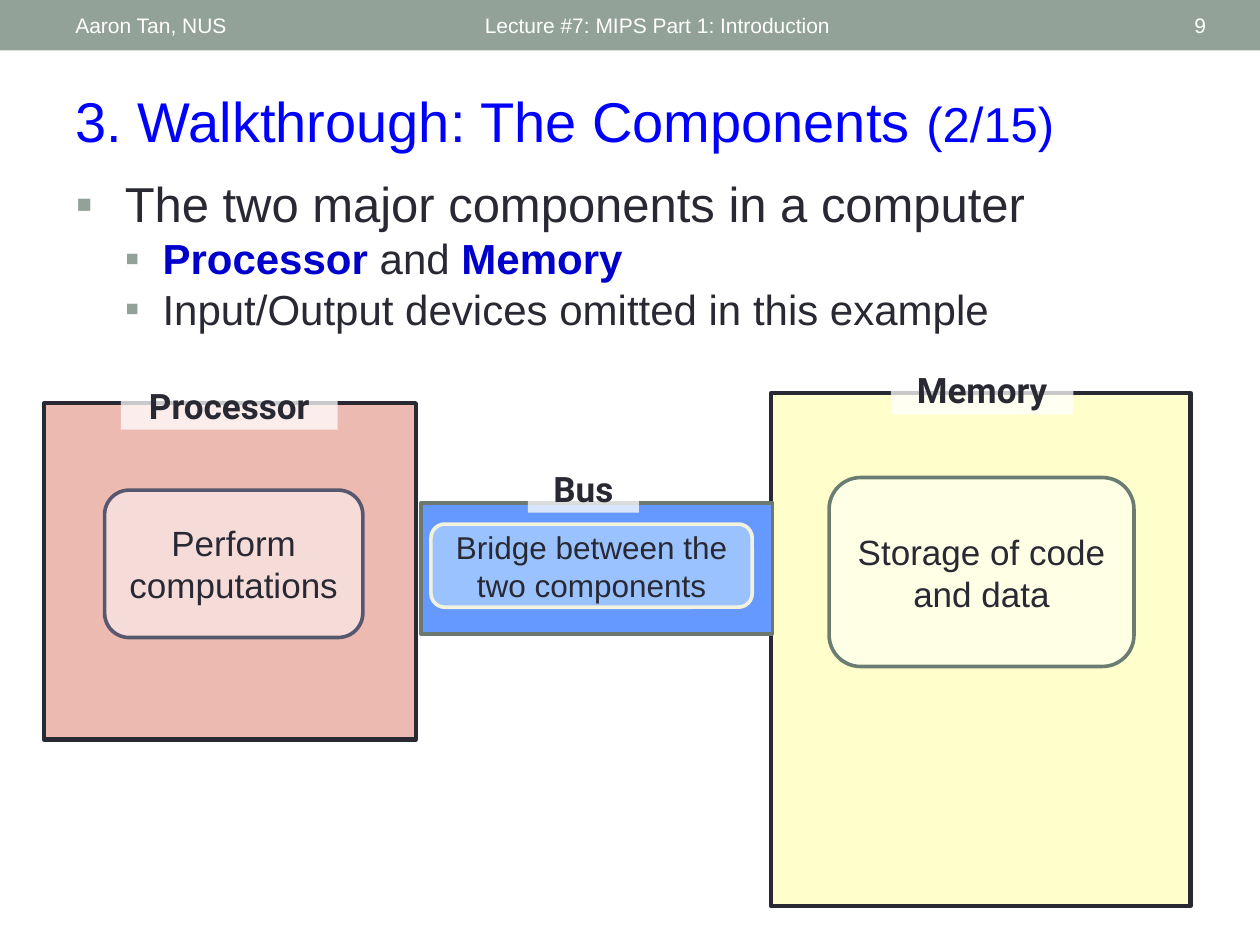
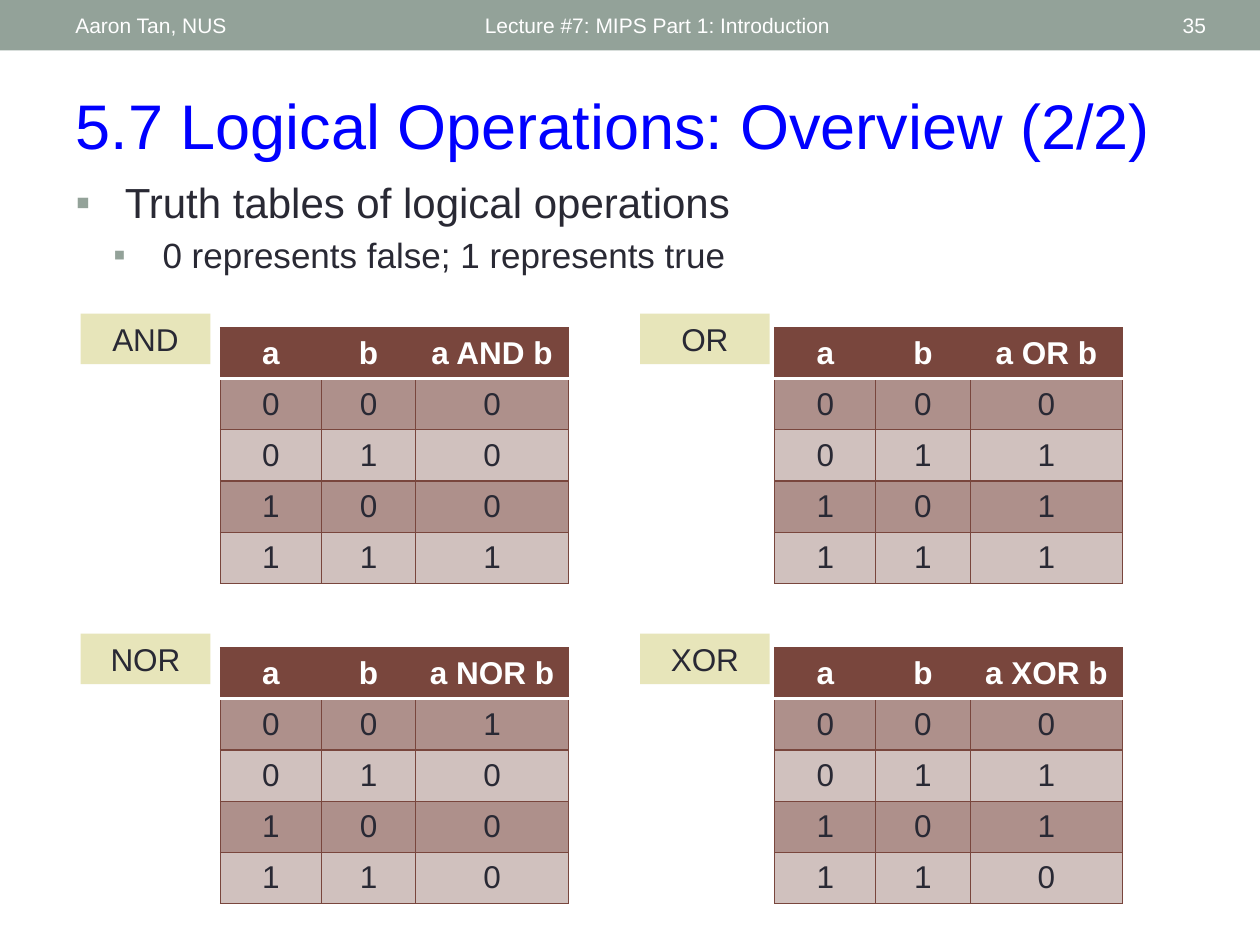
"""Build two lecture slides: computer components and truth tables."""
from dataclasses import dataclass
from itertools import product

from lxml import etree
from pptx import Presentation
from pptx import util as u
from pptx.dml.color import RGBColor
from pptx.enum import shapes, text
from pptx.oxml.ns import qn


@dataclass(frozen=True)
class Theme:
    font: str = "Arial"
    label_font: str = "Roboto"
    ink: str = "292934"
    white: str = "FFFFFF"
    band: str = "93A299"
    title: str = "0000FF"
    key: str = "0000CC"
    tag: str = "E7E5BA"
    table: str = "79463D"
    dark_row: str = "AE908B"
    light_row: str = "D0C1BE"
    header_size: float = 12
    cell_size: float = 18
    label_size: float = 20
    frame_line: float = 2.5
    line: float = 2.08
    thin_line: float = 0.75


THEME = Theme()
LECTURER = "Aaron Tan, NUS"
LECTURE = "Lecture #7: MIPS Part 1: Introduction"

COMPONENTS_SLIDE = {
    "number": "9",
    "title": [("3. Walkthrough: The Components ", 32), ("(2/15)", 28)],
    "title_box": (0.5, 0.64, 9, 0.64),
    "body_box": (0.5, 1.33, 9, 1.58),
    "body": [
        {"level": 0, "size": 28, "indent": (0.39, 0.39), "before": 0,
         "runs": [("The two major components in a computer", False)]},
        {"level": 1, "size": 24, "indent": (0.69, 0.3), "before": 0,
         "runs": [("Processor", True), (" and ", False), ("Memory", True)]},
        {"level": 1, "size": 24, "indent": (0.69, 0.3), "before": 0,
         "runs": [("Input/Output devices omitted in this example", False)]},
    ],
}
LOGIC_SLIDE = {
    "number": "35",
    "title": [("5.7 Logical Operations: Overview (2/2)", 36)],
    "title_box": (0.5, 0.64, 9.17, 0.71),
    "body_box": (0.5, 1.35, 9, 1.09),
    "body": [
        {"level": 0, "size": 24, "indent": (0.39, 0.39), "before": 0,
         "runs": [("Truth tables of logical operations", False)]},
        {"level": 1, "size": 20, "indent": (0.69, 0.39), "before": 4,
         "runs": [("0 represents false; 1 represents true", False)]},
    ],
}
COMPONENTS = [
    {"name": "Processor", "label_box": (0.96, 3.07, 1.72, 0.34),
     "frame_box": (0.35, 3.2, 2.95, 2.67), "frame": ("EDBAB1", THEME.ink, THEME.frame_line),
     "role": "Perform computations", "role_size": 20,
     "role_box": (0.83, 3.89, 2.05, 1.17), "role_colors": (THEME.white, "57576E")},
    {"name": "Memory", "label_box": (7.07, 2.95, 1.45, 0.34),
     "frame_box": (6.12, 3.12, 3.33, 4.07), "frame": ("FFFFCC", THEME.ink, THEME.frame_line),
     "role": "Storage of code and data", "role_size": 20,
     "role_box": (6.58, 3.79, 2.42, 1.5), "role_colors": (THEME.white, "6B7D72")},
    {"name": "Bus", "label_box": (4.19, 3.73, 0.88, 0.34),
     "frame_box": (3.34, 3.99, 2.79, 1.04), "frame": ("6699FF", "6D7871", THEME.line),
     "role": "Bridge between the two components", "role_size": 18,
     "role_box": (3.42, 4.16, 2.55, 0.66), "role_colors": ("CCECFF", "F3F2DC")},
]
OPERATIONS = [("AND", "0001"), ("OR", "0111"), ("NOR", "1000"), ("XOR", "0110")]
TAG_LEFTS, TABLE_LEFTS, TAG_TOPS = (0.64, 5.08), (1.75, 6.15), (2.49, 5.03)
TAG_SIZE, TABLE_DROP = (1.03, 0.4), 0.11
COLUMN_WIDTHS, ROW_HEIGHT = (0.8, 0.75, 1.21), 0.406


def inches(box):
    return [u.Inches(length) for length in box]


def set_format(target, values):
    for name, value in values.items():
        setattr(target, name, value)


def add_run(paragraph, words, size, color=THEME.ink, bold=False, font=THEME.font):
    run = paragraph.add_run()
    run.text = words
    set_format(run.font, {"name": font, "size": u.Pt(size), "bold": bold})
    run.font.color.rgb = RGBColor.from_string(color)


def paint(shape, color, opacity=100, line=None, width=THEME.line):
    shape.shadow.inherit = False
    shape.fill.solid()
    shape.fill.fore_color.rgb = RGBColor.from_string(color)
    if opacity < 100:
        fill_color = shape.fill._xPr.find(qn("a:solidFill"))[0]
        etree.SubElement(fill_color, qn("a:alpha"), val=str(opacity * 1000))
    if line:
        shape.line.color.rgb = RGBColor.from_string(line)
        shape.line.width = u.Pt(width)
    else:
        shape.line.fill.background()


def add_block(container, box, words="", size=THEME.label_size, bold=False,
              font=THEME.font, kind="RECTANGLE", **look):
    shape = container.add_shape(shapes.MSO_SHAPE[kind], *inches(box))
    paint(shape, **look)
    if words:
        set_format(shape.text_frame, {"word_wrap": True,
                                      "vertical_anchor": text.MSO_ANCHOR.MIDDLE})
        paragraph = shape.text_frame.paragraphs[0]
        paragraph.alignment = text.PP_ALIGN.CENTER
        add_run(paragraph, words, size, bold=bold, font=font)
    return shape


def add_header(slide, number):
    add_block(slide.shapes, (0, 0, 10, 0.4), color=THEME.band)
    for words, left, width, alignment in [(LECTURER, 0.5, 3.17, "LEFT"),
                                          (LECTURE, 3.75, 4.5, "LEFT"),
                                          (number, 8.72, 0.95, "RIGHT")]:
        frame = slide.shapes.add_textbox(*inches((left, 0.02, width, 0.36))).text_frame
        set_format(frame, {"word_wrap": True, "vertical_anchor": text.MSO_ANCHOR.MIDDLE})
        paragraph = frame.paragraphs[0]
        paragraph.alignment = text.PP_ALIGN[alignment]
        add_run(paragraph, words, THEME.header_size, THEME.white)


def place(placeholder, box):
    set_format(placeholder, dict(zip(("left", "top", "width", "height"), inches(box))))
    set_format(placeholder.text_frame, {"word_wrap": True,
                                        "auto_size": text.MSO_AUTO_SIZE.NONE,
                                        "vertical_anchor": text.MSO_ANCHOR.TOP})
    return placeholder.text_frame


def add_bullet(paragraph, left, hanging):
    properties = paragraph._p.get_or_add_pPr()
    properties.set("marL", str(u.Inches(left)))
    properties.set("indent", str(-u.Inches(hanging)))
    color = etree.SubElement(properties, qn("a:buClr"))
    etree.SubElement(color, qn("a:srgbClr"), val=THEME.band)
    etree.SubElement(properties, qn("a:buFont"), typeface=THEME.font)
    etree.SubElement(properties, qn("a:buChar"), char="▪")


def add_slide(presentation, content):
    slide = presentation.slides.add_slide(presentation.slide_layouts[1])
    add_header(slide, content["number"])
    title = place(slide.shapes.title, content["title_box"]).paragraphs[0]
    title.alignment = text.PP_ALIGN.LEFT
    for words, size in content["title"]:
        add_run(title, words, size, THEME.title)
    frame = place(slide.placeholders[1], content["body_box"])
    for index, item in enumerate(content["body"]):
        paragraph = frame.add_paragraph() if index else frame.paragraphs[0]
        set_format(paragraph, {"level": item["level"], "space_before": u.Pt(item["before"])})
        add_bullet(paragraph, *item["indent"])
        for words, is_key in item["runs"]:
            add_run(paragraph, words, item["size"], THEME.key if is_key else THEME.ink, is_key)
    return slide


def add_component(slide, component):
    group = slide.shapes.add_group_shape().shapes
    fill, line, width = component["frame"]
    add_block(group, component["frame_box"], color=fill, line=line, width=width)
    label = add_block(group, component["label_box"], component["name"], bold=True,
                      font=THEME.label_font, color=THEME.white, opacity=75)
    margins = dict(zip(("margin_left", "margin_top", "margin_right", "margin_bottom"),
                       inches((0.07, 0.03, 0.07, 0.03))))
    set_format(label.text_frame, {**margins, "vertical_anchor": text.MSO_ANCHOR.TOP})
    label.text_frame.paragraphs[0].line_spacing = 0.85
    fill, line = component["role_colors"]
    add_block(group, component["role_box"], component["role"], component["role_size"],
              kind="ROUNDED_RECTANGLE", color=fill, opacity=50, line=line)


def add_borders(cell, row):
    properties = cell._tc.get_or_add_tcPr()
    white_sides = {0: "lnB", 1: "lnT"}
    for position, side in enumerate(("lnL", "lnR", "lnT", "lnB")):
        is_white = white_sides.get(row) == side
        width = THEME.line if is_white else THEME.thin_line
        border = etree.Element(qn(f"a:{side}"), w=str(u.Pt(width)))
        fill = etree.SubElement(border, qn("a:solidFill"))
        etree.SubElement(fill, qn("a:srgbClr"), val=THEME.white if is_white else THEME.table)
        properties.insert(position, border)


def add_truth_table(slide, left, top, operation, results):
    inputs = product("01", repeat=2)
    rows = [("a", "b", f"a {operation} b")]
    rows += [(a, b, result) for (a, b), result in zip(inputs, results)]
    box = (left, top, sum(COLUMN_WIDTHS), ROW_HEIGHT * len(rows))
    table = slide.shapes.add_table(len(rows), len(COLUMN_WIDTHS), *inches(box)).table
    for column, width in zip(table.columns, COLUMN_WIDTHS):
        column.width = u.Inches(width)
    for row, values in enumerate(rows):
        is_head = row == 0
        fill = THEME.table if is_head else THEME.dark_row if row % 2 else THEME.light_row
        for column, value in enumerate(values):
            cell = table.cell(row, column)
            cell.vertical_anchor = text.MSO_ANCHOR.MIDDLE
            cell.fill.solid()
            cell.fill.fore_color.rgb = RGBColor.from_string(fill)
            add_borders(cell, row)
            paragraph = cell.text_frame.paragraphs[0]
            paragraph.alignment = text.PP_ALIGN.CENTER
            add_run(paragraph, value, THEME.cell_size,
                    THEME.white if is_head else THEME.ink, is_head)


def main():
    presentation = Presentation()
    presentation.slide_width, presentation.slide_height = inches((10, 7.5))
    slide = add_slide(presentation, COMPONENTS_SLIDE)
    for component in COMPONENTS:
        add_component(slide, component)
    slide = add_slide(presentation, LOGIC_SLIDE)
    for index, (operation, results) in enumerate(OPERATIONS):
        row, column = divmod(index, 2)
        top = TAG_TOPS[row]
        add_truth_table(slide, TABLE_LEFTS[column], top + TABLE_DROP, operation, results)
        add_block(slide.shapes, (TAG_LEFTS[column], top, *TAG_SIZE), operation,
                  THEME.cell_size, color=THEME.tag)
    presentation.save("out.pptx")


if __name__ == "__main__":
    main()
